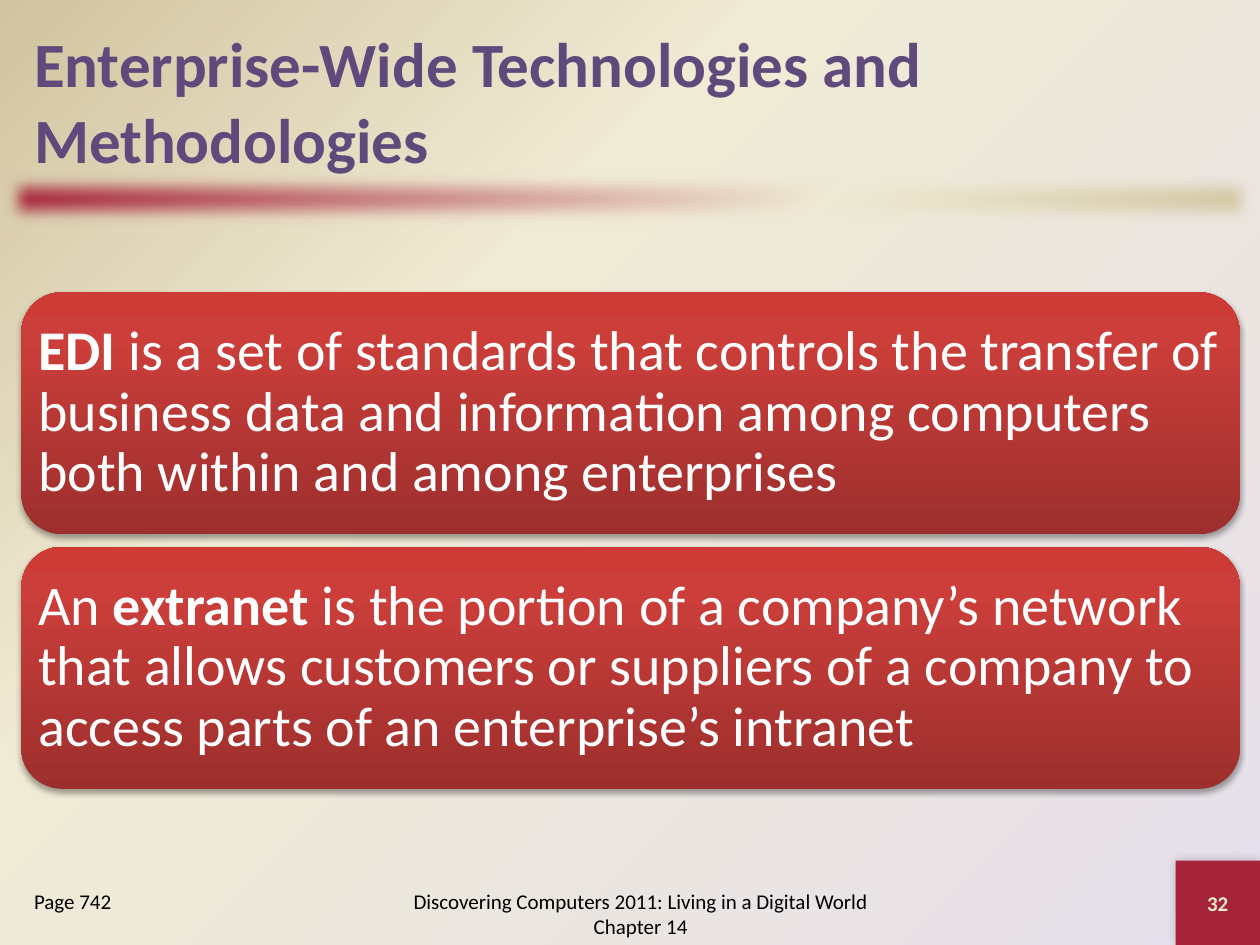
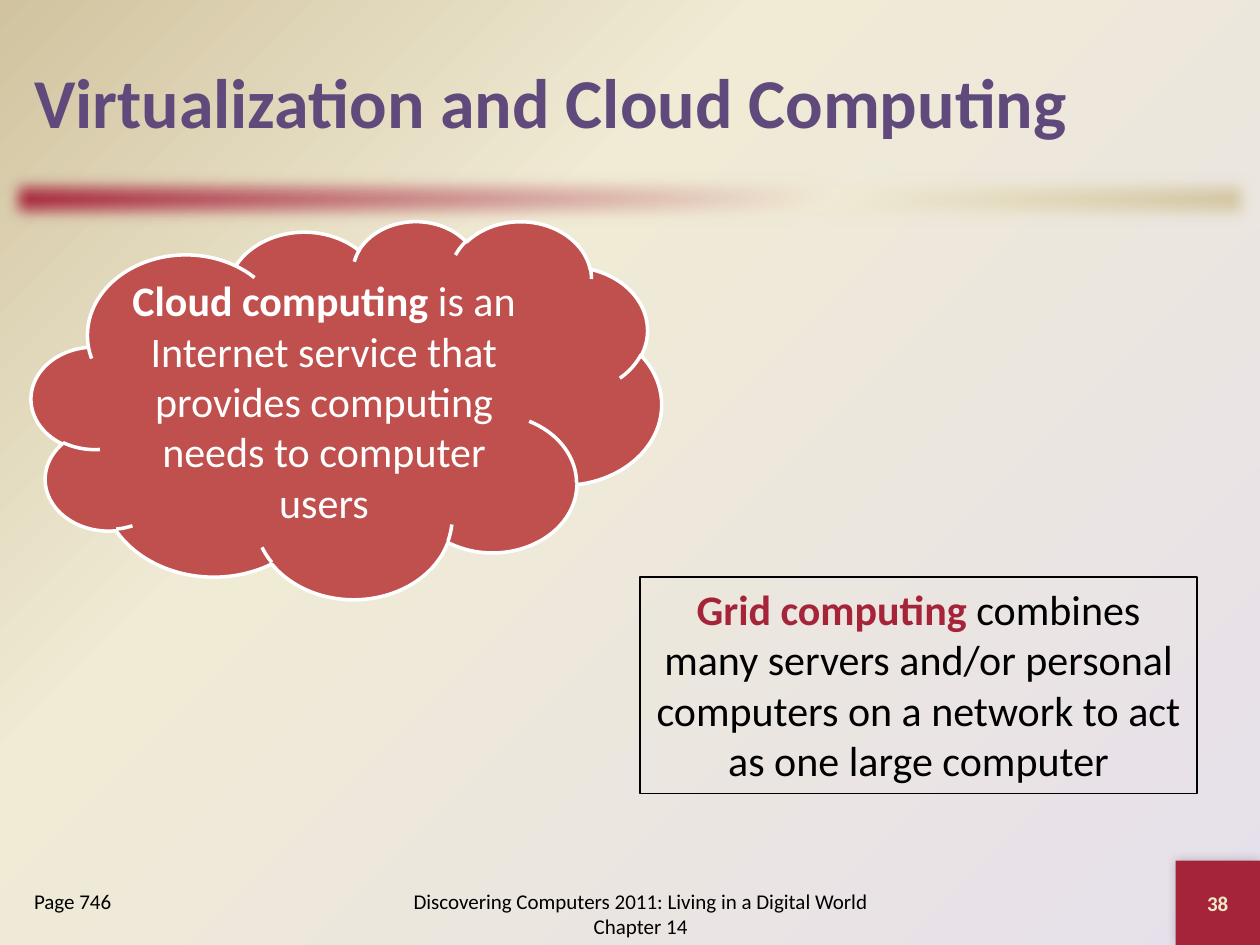
from collections import namedtuple
from dataclasses import dataclass

from pptx import Presentation
from pptx.dml.color import RGBColor
from pptx.enum.shapes import MSO_SHAPE
from pptx.enum.text import MSO_ANCHOR, MSO_AUTO_SIZE, PP_ALIGN
from pptx.oxml import parse_xml
from pptx.oxml.ns import nsdecls, qn
from pptx.util import Inches, Pt


@dataclass(frozen=True)
class Theme:
    font: str = "Calibri"
    title: str = "604A7B"
    accent: str = "A52439"
    cloud: str = "C0504D"
    number: str = "EEEBCA"
    white: str = "FFFFFF"
    black: str = "000000"
    backdrop: tuple = ((0, "E6E0EC"), (65, "F0EBD5"), (100, "D1C39F"))
    band: tuple = ((0, "A52439"), (65, "F0EBD5"), (100, "D1C39F"))
    card: tuple = ((0, "9C2F2D"), (80, "CB3E3A"), (100, "CE3B37"))
    small_size: int = 12
    callout_size: int = 24
    card_size: int = 32
    long_title_size: int = 36
    title_size: int = 40


THEME = Theme()
Box = namedtuple("Box", "left top width height")

SLIDE = Box(0, 0, 10, 7.5)
TITLE = Box(0.17, 0.17, 9.67, 1.25)
BAND = Box(0, 1.33, 10, 0.5)
CORNER = Box(9.33, 6.83, 0.67, 0.67)
FOOTER = Box(3, 7, 4.17, 0.5)
PAGE_REFERENCE = Box(0.17, 7, 1.83, 0.5)
CARDS = Box(0.17, 2.32, 9.67, 3.94)
CALLOUTS = Box(0.25, 1.75, 9.25, 4.55)
FOOTER_TEXT = "Discovering Computers 2011: Living in a Digital World Chapter 14"


def lengths(box):
    return [Inches(value) for value in box]


def move(shape, box):
    shape.left, shape.top, shape.width, shape.height = lengths(box)


def set_gradient(root, stops, direction):
    stop_list = "".join(
        f'<a:gs pos="{place * 1000}"><a:srgbClr val="{color}"/></a:gs>'
        for place, color in stops
    )
    gradient = parse_xml(
        f'<a:gradFill {nsdecls("a")} rotWithShape="1">'
        f"<a:gsLst>{stop_list}</a:gsLst>{direction}</a:gradFill>"
    )
    blank = root.find(".//" + qn("a:noFill"))
    blank.getparent().replace(blank, gradient)


def linear(angle):
    return f'<a:lin ang="{angle * 60000}" scaled="0"/>'


def add_effect(shape, effect):
    shape.element.spPr.find(qn("a:effectLst")).append(parse_xml(effect))


def add_shadow(shape, opacity, blur, distance, angle):
    add_effect(
        shape,
        f'<a:outerShdw {nsdecls("a")} blurRad="{Pt(blur)}" dist="{Pt(distance)}" '
        f'dir="{angle * 60000}" algn="ctr" rotWithShape="0">'
        f'<a:srgbClr val="{THEME.black}"><a:alpha val="{opacity * 1000}"/>'
        "</a:srgbClr></a:outerShdw>",
    )


def add_plain_shape(page, kind, box, color=None):
    shape = page.shapes.add_shape(kind, *lengths(box))
    shape.shadow.inherit = False
    shape.line.fill.background()
    if color:
        shape.fill.solid()
        shape.fill.fore_color.rgb = RGBColor.from_string(color)
    else:
        shape.fill.background()
    return shape


def write(shape, spans, size, color, align=PP_ALIGN.LEFT, anchor=MSO_ANCHOR.MIDDLE):
    frame = shape.text_frame
    frame.word_wrap = True
    frame.auto_size = MSO_AUTO_SIZE.NONE
    frame.vertical_anchor = anchor
    para = frame.paragraphs[0]
    para.alignment = align
    para.font.name = THEME.font
    para.font.size = Pt(size)
    para.font.color.rgb = RGBColor.from_string(color)
    for text, bold in spans:
        span = para.add_run()
        span.text = text
        span.font.bold = bold
    return para


def add_text(page, box, *text_style):
    label = page.shapes.add_textbox(*lengths(box))
    write(label, *text_style)


def decorate_master(deck, page):
    master = deck.slide_master
    master.background.fill.background()
    set_gradient(
        master.element,
        THEME.backdrop,
        '<a:path path="circle"><a:fillToRect l="100000" t="100000"/></a:path>',
    )
    band = add_plain_shape(page, MSO_SHAPE.RECTANGLE, BAND)
    set_gradient(band.element, THEME.band, linear(45))
    add_effect(band, f'<a:softEdge {nsdecls("a")} rad="{Inches(0.14)}"/>')
    corner = add_plain_shape(page, MSO_SHAPE.RECTANGLE, CORNER, THEME.accent)
    add_shadow(corner, 20, 6, 0, 225)
    for position, shape in enumerate((band, corner)):
        shape.element.nvSpPr.cNvPr.set("id", str(100 + position))
        master.shapes.element.insert(2 + position, shape.element)


def add_title(page, text, size):
    title = page.shapes.title
    move(title, TITLE)
    write(title, [(text, True)], size, THEME.title)


def add_page_reference(page, text):
    reference = page.placeholders[1]
    move(reference, PAGE_REFERENCE)
    properties = reference.text_frame.paragraphs[0]._p.get_or_add_pPr()
    properties.set("marL", str(Inches(0.38)))
    properties.set("indent", str(Inches(-0.38)))
    properties.append(parse_xml(f'<a:buNone {nsdecls("a")}/>'))
    para = write(reference, [(text, False)], THEME.small_size, THEME.black,
                 PP_ALIGN.LEFT, MSO_ANCHOR.TOP)
    para.space_before = Pt(0)


def add_footer(page, number):
    add_text(page, FOOTER, [(FOOTER_TEXT, False)], THEME.small_size,
             THEME.black, PP_ALIGN.CENTER)
    add_text(page, CORNER, [(number, True)], THEME.small_size,
             THEME.number, PP_ALIGN.CENTER)


def add_cards(page, box, statements, gap=0.1):
    height = (box.height - gap * (len(statements) - 1)) / len(statements)
    for row, spans in enumerate(statements):
        top = box.top + row * (height + gap)
        card = add_plain_shape(page, MSO_SHAPE.ROUNDED_RECTANGLE,
                               Box(box.left, top, box.width, height))
        set_gradient(card.element, THEME.card, linear(270))
        add_shadow(card, 35, 3.1, 1.8, 90)
        card.text_frame.margin_left = card.text_frame.margin_right = Inches(0.04)
        para = write(card, spans, THEME.card_size, THEME.white)
        para.line_spacing = 0.9


def add_callouts(page, box, cloud_spans, grid_spans):
    cloud = add_plain_shape(page, MSO_SHAPE.CLOUD,
                            Box(box.left, box.top, 5, 3), THEME.cloud)
    cloud.line.color.rgb = RGBColor.from_string(THEME.white)
    cloud.line.width = Pt(2)
    write(cloud, cloud_spans, THEME.callout_size, THEME.white, PP_ALIGN.CENTER)

    width, height = 4.42, 1.72
    grid_box = Box(box.left + box.width - width, box.top + box.height - height,
                   width, height)
    grid = add_plain_shape(page, MSO_SHAPE.RECTANGLE, grid_box)
    grid.line.color.rgb = RGBColor.from_string(THEME.black)
    grid.line.width = Pt(0.75)
    para = write(grid, grid_spans, THEME.callout_size, THEME.black,
                 PP_ALIGN.CENTER, MSO_ANCHOR.TOP)
    para.runs[0].font.color.rgb = RGBColor.from_string(THEME.accent)


def add_page(deck, title, title_size, reference, number):
    page = deck.slides.add_slide(deck.slide_layouts[1])
    add_title(page, title, title_size)
    add_page_reference(page, reference)
    add_footer(page, number)
    return page


def main():
    deck = Presentation()
    deck.slide_width, deck.slide_height = Inches(SLIDE.width), Inches(SLIDE.height)

    enterprise = add_page(deck, "Enterprise-Wide Technologies and Methodologies",
                          THEME.long_title_size, "Page 742", "32")
    decorate_master(deck, enterprise)
    add_cards(enterprise, CARDS, [
        [("EDI", True),
         (" is a set of standards that controls the transfer of business data and "
          "information among computers both within and among enterprises", False)],
        [("An ", False), ("extranet", True),
         (" is the portion of a company’s network that allows customers or suppliers "
          "of a company to access parts of an enterprise’s intranet", False)],
    ])

    virtualization = add_page(deck, "Virtualization and Cloud Computing",
                              THEME.title_size, "Page 746", "38")
    add_callouts(
        virtualization, CALLOUTS,
        [("Cloud computing", True),
         (" is an Internet service that provides computing needs to computer users",
          False)],
        [("Grid computing ", True),
         ("combines many servers and/or personal computers on a network to act as "
          "one large computer", False)],
    )
    deck.save("out.pptx")


if __name__ == "__main__":
    main()
